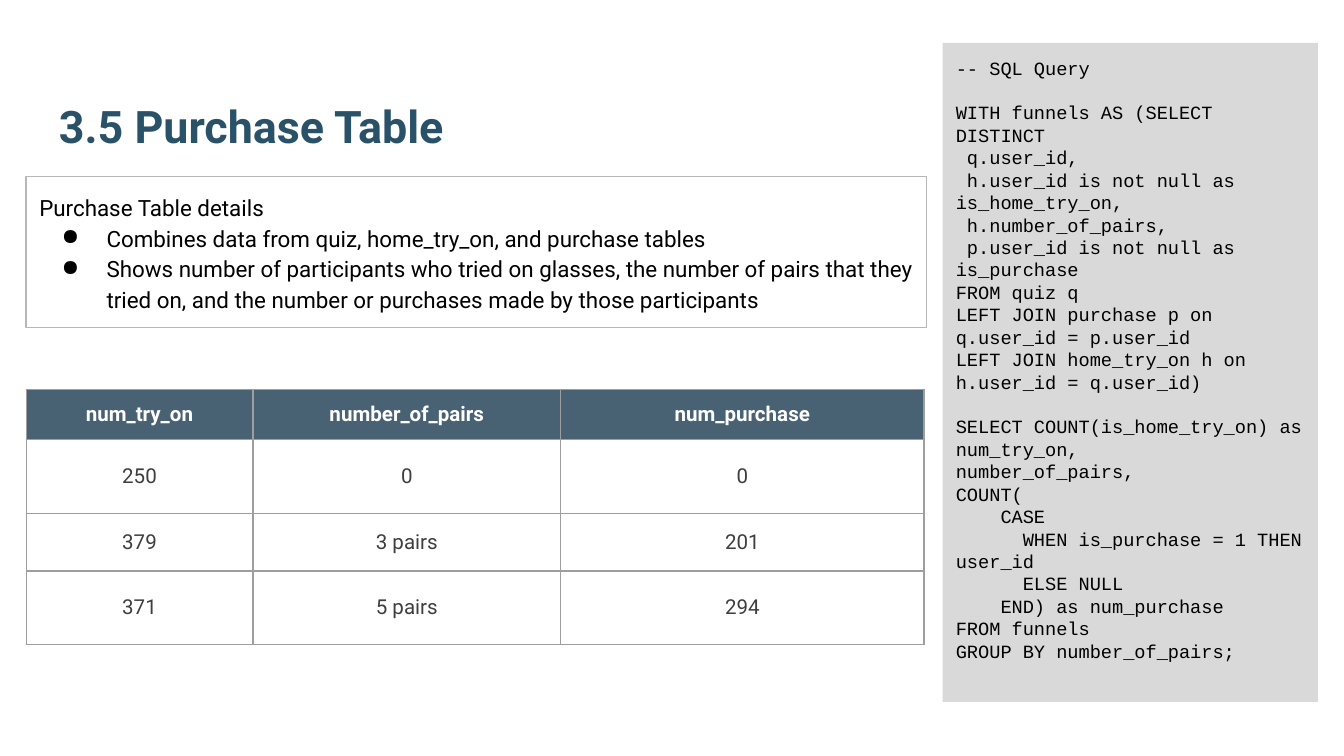
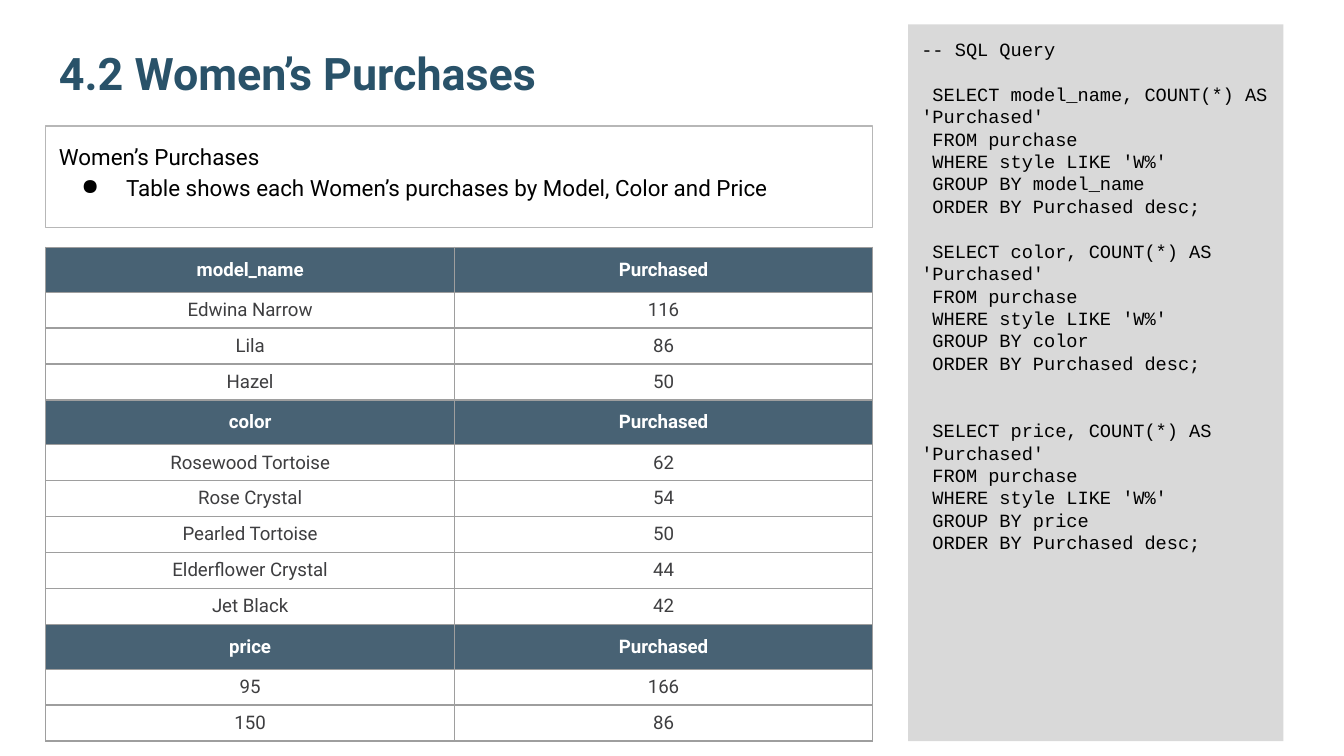
from dataclasses import dataclass
from typing import Any, NamedTuple

from lxml.etree import SubElement
from pptx import Presentation
from pptx.dml.color import RGBColor
from pptx.enum.shapes import MSO_SHAPE as Kind
from pptx.enum.text import MSO_ANCHOR as Anchor, PP_ALIGN as Align
from pptx.oxml.ns import qn
from pptx.util import Pt


@dataclass(frozen=True)
class Theme:
    sans: str = "Roboto"
    mono: str = "Courier New"
    title: str = "295269"
    ink: str = "000000"
    cell: str = "3E3E40"
    white: str = "FFFFFF"
    head: str = "204056"
    alpha: int = 82
    panel: str = "D9D9D9"
    frame: str = "B7B7B7"
    grid: str = "9E9E9E"
    line: float = 0.75
    title_size: float = 24
    note_size: float = 12
    code_size: float = 10
    code_line: float = 12
    pad: float = 7.2
    head_pad: float = 6


THEME = Theme()


class Box(NamedTuple):
    left: float
    top: float
    width: float
    height: float


class Face(NamedTuple):
    font: str
    size: float
    color: str
    bold: bool = False


@dataclass(frozen=True)
class Note:
    box: Box
    lead: str
    points: tuple[str, ...]


@dataclass(frozen=True)
class Code:
    box: Box
    text: str


@dataclass(frozen=True)
class Band:
    """A header row with the body rows below it."""
    head: tuple[str, ...]
    rows: tuple[tuple[str, ...], ...]


@dataclass(frozen=True)
class Grid:
    left: float
    top: float
    cols: tuple[float, ...]
    heights: tuple[float, ...]
    size: float
    bands: tuple[Band, ...]


@dataclass(frozen=True)
class Page:
    title: str
    title_box: Box
    note: Note
    code: Code
    grid: Grid


def put(item: Any, values: dict[str, Any]) -> None:
    for name, value in values.items():
        setattr(item, name, value)


def rgb(color: str) -> RGBColor:
    return RGBColor.from_string(color)


def write(para: Any, text: str, face: Face) -> None:
    run = para.add_run()
    run.text = text
    put(run.font, {"name": face.font, "size": Pt(face.size), "bold": face.bold})
    run.font.color.rgb = rgb(face.color)


def setup(shape: Any, anchor: Any) -> Any:
    frame = shape.text_frame
    pad = Pt(THEME.pad)
    put(frame, {"word_wrap": True, "vertical_anchor": anchor,
                "margin_left": pad, "margin_right": pad,
                "margin_top": pad, "margin_bottom": pad})
    return frame


def next_para(frame: Any, index: int) -> Any:
    """Use the paragraph already there first, then add new ones."""
    para = frame.add_paragraph() if index else frame.paragraphs[0]
    para.alignment = Align.LEFT
    return para


def rect(slide: Any, box: Box, fill: str = "", line: str = "") -> Any:
    shape = slide.shapes.add_shape(Kind.RECTANGLE, *map(Pt, box))
    shape.shadow.inherit = False
    if fill:
        shape.fill.solid()
        shape.fill.fore_color.rgb = rgb(fill)
    else:
        shape.fill.background()
    if line:
        shape.line.color.rgb = rgb(line)
        shape.line.width = Pt(THEME.line)
    else:
        shape.line.fill.background()
    return setup(shape, Anchor.TOP)


def draw_title(slide: Any, text: str, box: Box) -> None:
    frame = setup(slide.shapes.add_textbox(*map(Pt, box)), Anchor.BOTTOM)
    face = Face(THEME.sans, THEME.title_size, THEME.title, True)
    write(frame.paragraphs[0], text, face)


def add_bullet(para: Any) -> None:
    props = para._p.get_or_add_pPr()
    props.set("marL", str(Pt(36)))
    props.set("indent", str(Pt(-24)))
    color = SubElement(props, qn("a:buClr"))
    SubElement(color, qn("a:srgbClr"), val=THEME.ink)
    SubElement(props, qn("a:buChar"), char="●")


def draw_note(slide: Any, note: Note) -> None:
    frame = rect(slide, note.box, line=THEME.frame)
    face = Face(THEME.sans, THEME.note_size, THEME.ink)
    for index, text in enumerate((note.lead, *note.points)):
        para = next_para(frame, index)
        if index:
            add_bullet(para)
        para.line_spacing = 1.15
        write(para, text, face)


def draw_code(slide: Any, code: Code) -> None:
    """Write the query; each empty line becomes space before the next one."""
    frame = rect(slide, code.box, fill=THEME.panel)
    face = Face(THEME.mono, THEME.code_size, THEME.ink)
    index = gap = 0
    for text in code.text.splitlines():
        if not text:
            gap += 1
            continue
        para = next_para(frame, index)
        if gap:
            para.space_before = Pt(gap * THEME.code_line)
        write(para, text, face)
        index, gap = index + 1, 0


def add_edges(cell: Any) -> None:
    props = cell._tc.get_or_add_tcPr()
    for side in "LRTB":
        edge = SubElement(props, qn(f"a:ln{side}"), w=str(Pt(THEME.line)))
        fill = SubElement(edge, qn("a:solidFill"))
        SubElement(fill, qn("a:srgbClr"), val=THEME.grid)


def fill_cell(cell: Any, text: str, size: float, head: bool) -> None:
    add_edges(cell)
    cell.vertical_anchor = Anchor.MIDDLE
    if head:
        pad = Pt(THEME.head_pad)
        put(cell, {"margin_left": pad, "margin_right": pad,
                   "margin_top": pad, "margin_bottom": pad})
        cell.fill.solid()
        cell.fill.fore_color.rgb = rgb(THEME.head)
        tone = cell._tc.tcPr.find(f".//{qn('a:srgbClr')}[@val='{THEME.head}']")
        SubElement(tone, qn("a:alpha"), val=str(THEME.alpha * 1000))
    else:
        cell.fill.background()
    para = cell.text_frame.paragraphs[0]
    para.alignment = Align.CENTER
    color = THEME.white if head else THEME.cell
    write(para, text, Face(THEME.sans, size, color, head))


def draw_grid(slide: Any, grid: Grid) -> None:
    rows = [(row, row is band.head)
            for band in grid.bands for row in (band.head, *band.rows)]
    box = Box(grid.left, grid.top, sum(grid.cols), sum(grid.heights))
    table = slide.shapes.add_table(
        len(rows), len(grid.cols), *map(Pt, box)).table
    put(table, {"first_row": False, "horz_banding": False})
    for col, width in zip(table.columns, grid.cols):
        col.width = Pt(width)
    for line, height, (texts, head) in zip(table.rows, grid.heights, rows):
        line.height = Pt(height)
        for cell, text in zip(line.cells, texts):
            fill_cell(cell, text, grid.size, head)


def draw_page(deck: Any, page: Page) -> None:
    slide = deck.slides.add_slide(deck.slide_layouts[6])
    draw_title(slide, page.title, page.title_box)
    draw_note(slide, page.note)
    draw_code(slide, page.code)
    draw_grid(slide, page.grid)


FUNNEL = """-- SQL Query

WITH funnels AS (SELECT DISTINCT
 q.user_id,
 h.user_id is not null as is_home_try_on,
 h.number_of_pairs,
 p.user_id is not null as is_purchase
FROM quiz q
LEFT JOIN purchase p on q.user_id = p.user_id
LEFT JOIN home_try_on h on h.user_id = q.user_id)

SELECT COUNT(is_home_try_on) as num_try_on,
number_of_pairs,
COUNT(
    CASE
      WHEN is_purchase = 1 THEN user_id
      ELSE NULL
    END) as num_purchase
FROM funnels
GROUP BY number_of_pairs;"""


def count_by(field: str) -> str:
    return f""" SELECT {field}, COUNT(*) AS 'Purchased'
 FROM purchase
 WHERE style LIKE 'W%'
 GROUP BY {field}
 ORDER BY Purchased desc;"""


COUNTS = "\n\n".join(("-- SQL Query", count_by("model_name"),
                      count_by("color"), "\n" + count_by("price")))

WOMEN = (
    Band(("model_name", "Purchased"),
         (("Edwina Narrow", "116"), ("Lila", "86"), ("Hazel", "50"))),
    Band(("color", "Purchased"),
         (("Rosewood Tortoise", "62"), ("Rose Crystal", "54"),
          ("Pearled Tortoise", "50"), ("Elderflower Crystal", "44"),
          ("Jet Black", "42"))),
    Band(("price", "Purchased"), (("95", "166"), ("150", "86"))),
)
TRIES = Band(("num_try_on", "number_of_pairs", "num_purchase"),
             (("250", "0", "0"), ("379", "3 pairs", "201"),
              ("371", "5 pairs", "294")))

PAGES = (
    Page("3.5 Purchase Table", Box(24.5, 23, 471.5, 66),
         Note(Box(14, 94.5, 482.5, 81), "Purchase Table details",
              ("Combines data from quiz, home_try_on, and purchase tables",
               "Shows number of participants who tried on glasses, the number "
               "of pairs that they tried on, and the number or purchases made "
               "by those participants")),
         Code(Box(505, 23, 201, 353), FUNNEL),
         Grid(14, 208.5, (121.5, 165, 194.5), (27, 39.5, 31, 39.5), 11,
              (TRIES,))),
    Page("4.2 Women’s Purchases", Box(24.5, 13, 671, 47.5),
         Note(Box(24.5, 67.5, 443, 54.5), "Women’s Purchases",
              ("Table shows each Women’s purchases by Model, Color and Price",)),
         Code(Box(486.5, 13, 201, 384), COUNTS),
         Grid(24.5, 132.5, (219, 224),
              tuple(height for band in WOMEN
                    for height in (23.75, *[19] * len(band.rows))), 10, WOMEN)),
)


def main() -> None:
    deck = Presentation()
    put(deck, {"slide_width": Pt(720), "slide_height": Pt(405)})
    for page in PAGES:
        draw_page(deck, page)
    deck.save("out.pptx")


if __name__ == "__main__":
    main()
